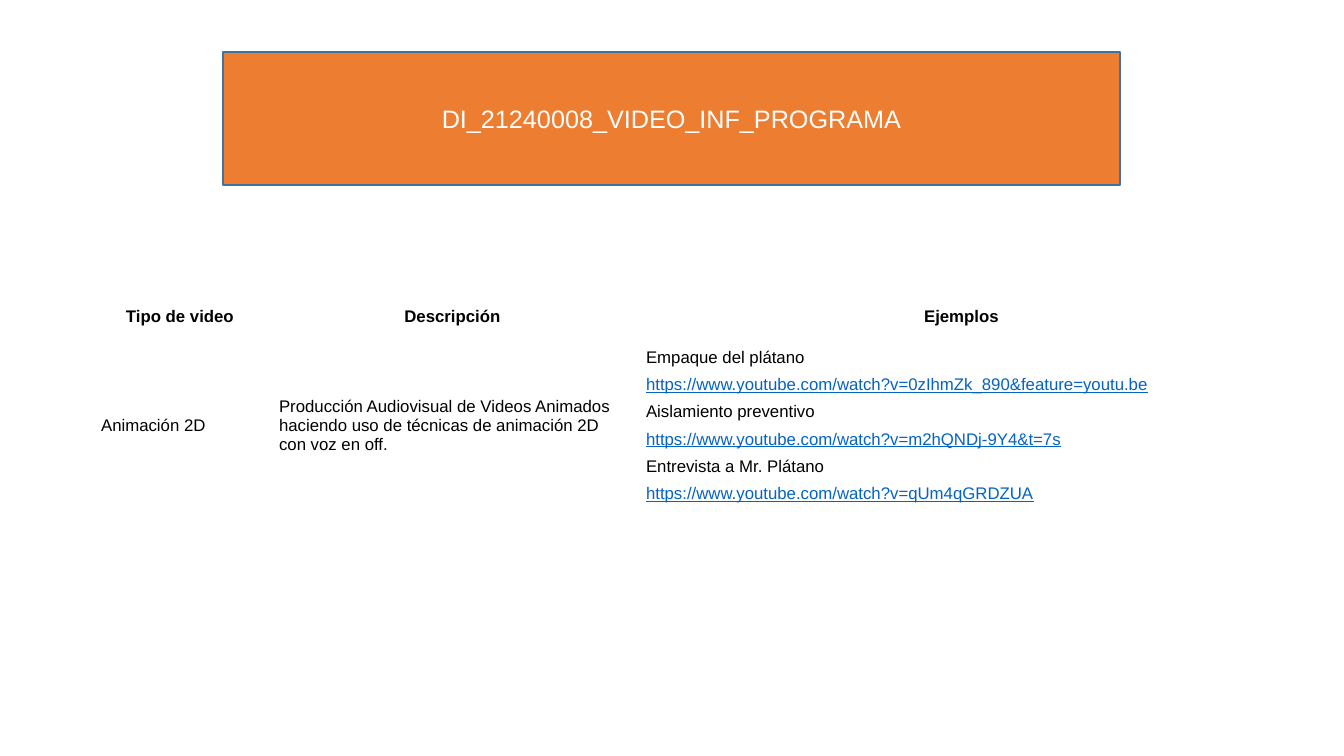
from pptx import Presentation
from pptx.dml.color import RGBColor
from pptx.enum.text import MSO_ANCHOR, MSO_AUTO_SIZE, PP_ALIGN
from pptx.util import Pt

MIDDLE, TOP = MSO_ANCHOR.MIDDLE, MSO_ANCHOR.TOP
CENTER, LEFT = PP_ALIGN.CENTER, PP_ALIGN.LEFT
NO_FIT = MSO_AUTO_SIZE.NONE

ORANGE = RGBColor(0xED, 0x7D, 0x31)
EDGE = RGBColor(0x42, 0x71, 0x9B)
WHITE = RGBColor(0xFF, 0xFF, 0xFF)
BLACK = RGBColor(0x00, 0x00, 0x00)
BLUE = RGBColor(0x05, 0x63, 0xC1)

TITLE_ONLY = 5
SCALE = 914400 / 100.8

HEADS = ["Tipo de video", "Descripción", "Ejemplos"]
VIDEOS = [
    ("Empaque del plátano", "https://www.youtube.com/watch?v=0zIhmZk_890&feature=youtu.be"),
    ("Aislamiento preventivo", "https://www.youtube.com/watch?v=m2hQNDj-9Y4&t=7s"),
    ("Entrevista a Mr. Plátano", "https://www.youtube.com/watch?v=qUm4qGRDZUA"),
]
ABOUT = ("Producción Audiovisual de Videos Animados haciendo uso de "
         "técnicas de animación 2D con voz en off.")


def emu(px):
    return round(px * SCALE)


def apply(item, style):
    for name, value in style.items():
        setattr(item, name, value)


class Deck:
    head = dict(name="Arial", size=Pt(18), bold=False, color=WHITE)
    label = dict(name="Arial", size=Pt(12), bold=True, color=BLACK)
    plain = dict(label, bold=False)
    link = dict(plain, color=BLUE, underline=True)

    def __init__(self, width, height):
        self.prs = Presentation()
        self.prs.slide_width, self.prs.slide_height = emu(width), emu(height)
        self.slide = self.prs.slides.add_slide(self.prs.slide_layouts[TITLE_ONLY])

    def text(self, frame, lines, align=LEFT):
        """Fill a text frame with (words, style) lines, one paragraph each."""
        for i, (words, style) in enumerate(lines):
            para = frame.add_paragraph() if i else frame.paragraphs[0]
            para.alignment = align
            if i:
                para.space_before = Pt(6)
            run = para.add_run()
            run.text = words
            apply(run.font, {k: v for k, v in style.items() if k != "color"})
            run.font.color.rgb = style["color"]

    def title(self, words, left, top, width, height):
        box = self.slide.shapes.title
        apply(box, dict(left=emu(left), top=emu(top), width=emu(width), height=emu(height)))
        box.fill.solid()
        box.fill.fore_color.rgb = ORANGE
        box.line.color.rgb = EDGE
        box.line.width = Pt(1)
        apply(box.text_frame, dict(word_wrap=True, auto_size=NO_FIT, vertical_anchor=MIDDLE))
        self.text(box.text_frame, [(words, self.head)], CENTER)

    def table(self, rows, left, top, widths, height):
        """Draw a clear table; each cell is a list of (words, style) lines."""
        grid = self.slide.shapes.add_table(
            len(rows), len(widths), emu(left), emu(top),
            emu(sum(widths)), emu(height * len(rows))).table
        apply(grid, dict(first_row=False, horz_banding=False))
        for col, width in zip(grid.columns, widths):
            col.width = emu(width)
        for r, row in enumerate(rows):
            for c, lines in enumerate(row):
                cell = grid.cell(r, c)
                cell.fill.background()
                cell.vertical_anchor = MIDDLE if r else TOP
                self.text(cell.text_frame, lines, LEFT if r else CENTER)


def main():
    deck = Deck(1344, 756)
    deck.title("DI_21240008_VIDEO_INF_PROGRAMA", 223, 52, 897, 133)
    heads = [[(words, deck.label)] for words in HEADS]
    links = [line for name, url in VIDEOS
             for line in ((name, deck.plain), (url, deck.link))]
    body = [[("Animación 2D", deck.plain)], [(ABOUT, deck.plain)], links]
    deck.table([heads, body], 91, 302, [178, 367, 651], 41)
    deck.prs.save("out.pptx")


if __name__ == "__main__":
    main()
